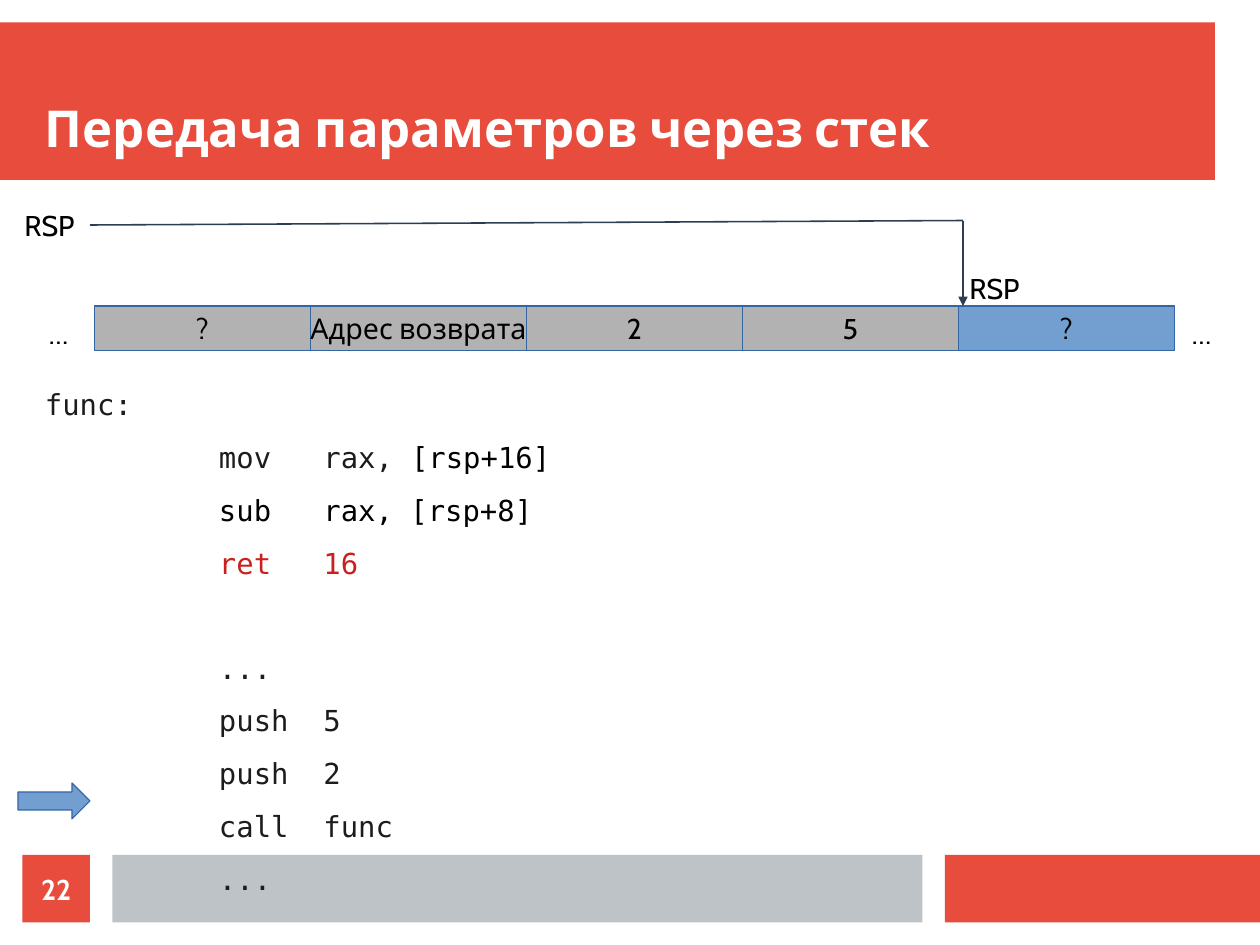
from dataclasses import dataclass

from lxml import etree
from pptx import Presentation, util as u
from pptx.dml.color import RGBColor
from pptx.enum import shapes, text
from pptx.oxml.ns import qn


@dataclass(frozen=True)
class Theme:
    accent: str = "E74C3C"
    band: str = "BDC3C7"
    used: str = "B2B2B2"
    free: str = "729FCF"
    outline: str = "3465A4"
    pointer: str = "2C3E50"
    code: str = "1C1C1C"
    ink: str = "000000"
    alert: str = "C9211E"
    light: str = "FFFFFF"
    sans: str = "Cabin"
    mono: str = "DejaVu Sans Mono"
    title_size: float = 32
    label_size: float = 18
    code_size: float = 18.2
    code_gap: float = 11.4
    skipped_line: float = 33


THEME = Theme()
EMU_PER_PX = 9000
SHAPE = shapes.MSO_SHAPE
LABEL = {"name": THEME.sans, "size": u.Pt(THEME.label_size), "bold": False}
BOLD_LABEL = {**LABEL, "bold": True}
TITLE = {**BOLD_LABEL, "size": u.Pt(THEME.title_size)}
CODE = {"name": THEME.mono, "size": u.Pt(THEME.code_size)}
FLUSH = dict.fromkeys(("margin_left", "margin_top", "margin_right", "margin_bottom"), 0)
CENTRED = {"word_wrap": False, "vertical_anchor": text.MSO_ANCHOR.MIDDLE}

STACK = [
    ("?", THEME.used),
    ("Адрес возврата", THEME.used),
    ("2", THEME.used),
    ("5", THEME.used),
    ("?", THEME.free),
]
LISTING = [
    [("func:", THEME.code)],
    [("          mov   rax, ", THEME.code), ("[rsp+16]", THEME.ink)],
    [("          sub   rax, [rsp+8]", THEME.ink)],
    [("          ret   16", THEME.alert)],
    [("          ...", THEME.code)],
    [("          push  5", THEME.code)],
    [("          push  2", THEME.code)],
    [("          call  func", THEME.code)],
    [("          ...", THEME.code)],
]
AFTER_SKIP = 4


def px(*lengths):
    return [u.Emu(length * EMU_PER_PX) for length in lengths]


def apply(target, values):
    for key, value in values.items():
        setattr(target, key, value)


def write(part, words, color, font=LABEL, frame=CENTRED, align=text.PP_ALIGN.CENTER):
    apply(part.text_frame, frame)
    paragraph = part.text_frame.paragraphs[0]
    paragraph.alignment = align
    run = paragraph.add_run()
    run.text = words
    apply(run.font, font)
    run.font.color.rgb = RGBColor.from_string(color)


def block(slide, box, fill, outline=None, kind=SHAPE.RECTANGLE):
    part = slide.shapes.add_shape(kind, *px(*box))
    part.shadow.inherit = False
    part.fill.solid()
    part.fill.fore_color.rgb = RGBColor.from_string(fill)
    if outline:
        part.line.color.rgb = RGBColor.from_string(outline)
        part.line.width = u.Pt(0)
    else:
        part.line.fill.background()
    return part


def label(slide, box, words):
    write(slide.shapes.add_textbox(*px(*box)), words, THEME.ink)


def pointer_line(slide, start, end, arrow=False):
    line = slide.shapes.add_connector(
        shapes.MSO_CONNECTOR.STRAIGHT, *px(*start, *end))
    line.line.color.rgb = RGBColor.from_string(THEME.pointer)
    line.line.width = u.Pt(1)
    properties = line._element.spPr
    if arrow:
        etree.SubElement(properties.find(qn("a:ln")), qn("a:tailEnd"), type="triangle")
    etree.SubElement(properties, qn("a:effectLst"))


def header(slide, box):
    left, top, width, height = box
    block(slide, box, THEME.accent)
    title = slide.shapes.title
    slide.shapes._spTree.append(title._element)
    places = px(left + 40, top + 20, width - 40, 100)
    apply(title, dict(zip(("left", "top", "width", "height"), places)))
    frame = {**FLUSH, "word_wrap": True, "auto_size": text.MSO_AUTO_SIZE.NONE,
             "vertical_anchor": text.MSO_ANCHOR.BOTTOM}
    write(title, "Передача параметров через стек", THEME.light, TITLE, frame,
          text.PP_ALIGN.LEFT)


def footer(slide, box):
    left, top, width, height = box
    block(slide, (left + 100, top, 720, height), THEME.band)
    block(slide, (left + 840, top, width - 840, height), THEME.accent)
    number = block(slide, (left + 20, top, height, height), THEME.accent)
    write(number, "22", THEME.light, BOLD_LABEL, {**FLUSH, **CENTRED})


def stack_diagram(slide, box):
    left, top, width, height = box
    cell_width = width // len(STACK)
    for index, (value, fill) in enumerate(STACK):
        cell = block(slide, (left + index * cell_width, top, cell_width, height),
                     fill, THEME.outline)
        write(cell, value, THEME.ink)
    for dots_left in (left - 52, left + width + 4):
        label(slide, (dots_left, top + 4, 40, 40), "…")
    label(slide, (left - 76, top - 88, 72, 32), "RSP")
    label(slide, (left + 716, top - 32, 168, 32), "RSP")
    corner = (left + 772, top - 76)
    pointer_line(slide, (left - 4, top - 72), corner)
    pointer_line(slide, corner, (left + 772, top), arrow=True)


def code_listing(slide, box):
    frame = slide.shapes.add_textbox(*px(*box)).text_frame
    apply(frame, {**FLUSH, "word_wrap": True})
    for index, parts in enumerate(LISTING):
        paragraph = frame.add_paragraph() if index else frame.paragraphs[0]
        paragraph.space_after = u.Pt(THEME.code_gap)
        if index == AFTER_SKIP:
            paragraph.space_before = u.Pt(THEME.skipped_line)
        for words, color in parts:
            run = paragraph.add_run()
            run.text = words
            apply(run.font, CODE)
            run.font.color.rgb = RGBColor.from_string(color)


def main():
    deck = Presentation()
    deck.slide_width, deck.slide_height = px(1120, 840)
    slide = deck.slides.add_slide(deck.slide_layouts[5])
    header(slide, (0, 20, 1080, 140))
    footer(slide, (0, 760, 1120, 60))
    code_listing(slide, (40, 344, 1016, 396))
    stack_diagram(slide, (84, 272, 960, 40))
    block(slide, (16, 696, 64, 32), THEME.free, THEME.outline, SHAPE.RIGHT_ARROW)
    deck.save("out.pptx")


if __name__ == "__main__":
    main()
